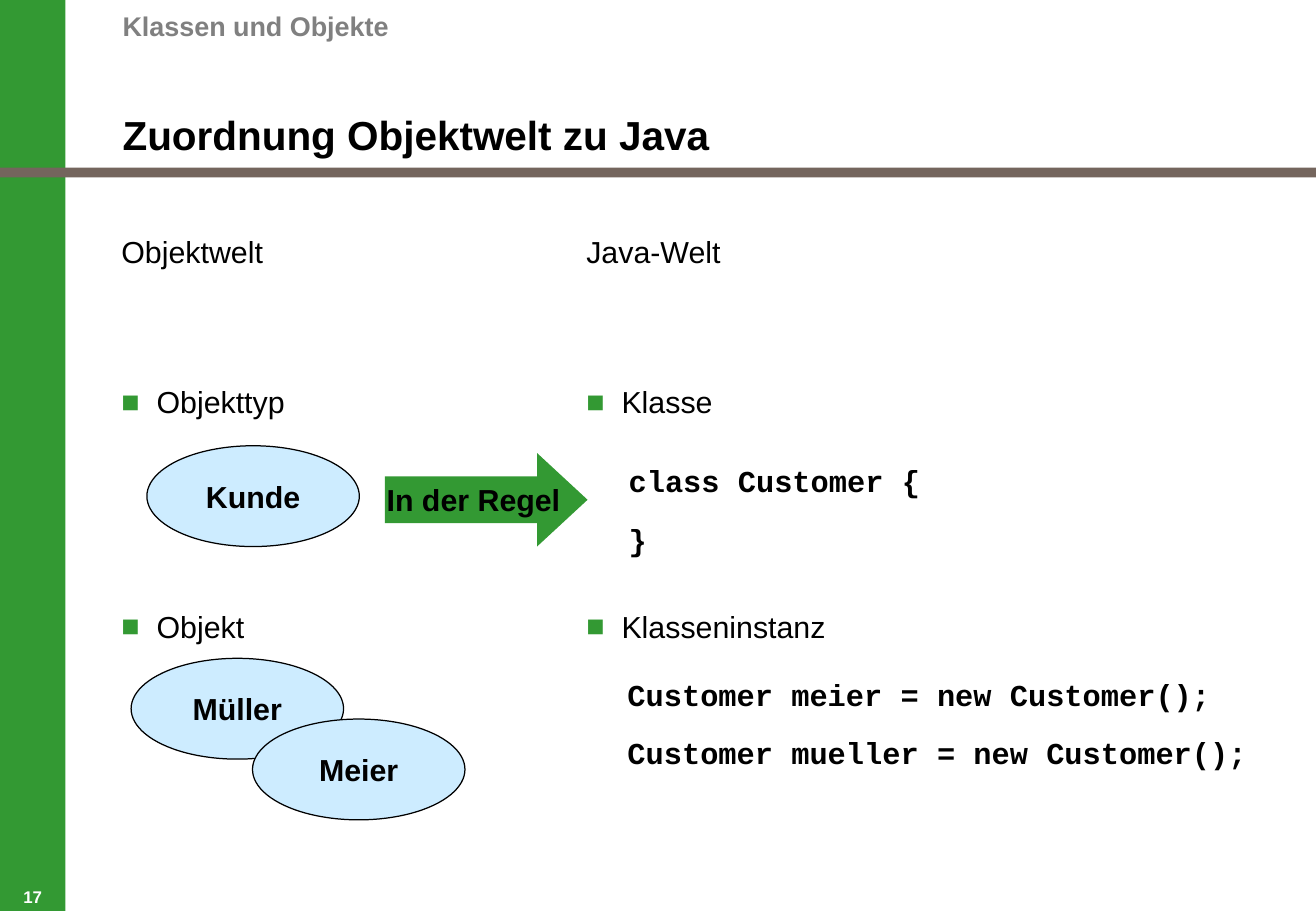
from lxml.etree import SubElement
from pptx import Presentation
from pptx.dml.color import RGBColor
from pptx.enum.shapes import MSO_SHAPE
from pptx.enum.text import MSO_ANCHOR, PP_ALIGN
from pptx.oxml.ns import qn
from pptx.util import Pt

PX = 9144  # 100 px to the inch
GREEN, BROWN, BLUE = "339933", "74655D", "CDECFF"
BLACK, GREY, WHITE = "000000", "808080", "FFFFFF"
OVAL_W, OVAL_H = 175, 83
INDENT = 29


def px(*lengths):
    return [n * PX for n in lengths]


def rgb(color):
    return RGBColor.from_string(color)


def add_run(p, text, size=18, bold=True, color=BLACK, font="Arial"):
    r = p.add_run()
    r.text = text
    r.font.size = Pt(size)
    r.font.bold = bold
    r.font.name = font
    r.font.color.rgb = rgb(color)


def add_bullet(p):
    pPr = p._p.get_or_add_pPr()
    pPr.set("marL", str(INDENT * PX))
    pPr.set("indent", str(-INDENT * PX))
    SubElement(SubElement(pPr, qn("a:buClr")), qn("a:srgbClr"), val=GREEN)
    SubElement(pPr, qn("a:buFont"), typeface="Arial")
    SubElement(pPr, qn("a:buChar"), char="■")


def add_box(s, box, anchor=MSO_ANCHOR.TOP, margins=(0, 0, 0, 0), wrap=True):
    tf = s.shapes.add_textbox(*px(*box)).text_frame
    tf.margin_left, tf.margin_top, tf.margin_right, tf.margin_bottom = px(*margins)
    tf.vertical_anchor = anchor
    tf.word_wrap = wrap
    return tf


def add_figure(s, kind, box, fill, label="", outline=False):
    """Add a filled preset shape with an optional centred label."""
    sp = s.shapes.add_shape(kind, *px(*box))
    sp.shadow.inherit = False
    sp.fill.solid()
    sp.fill.fore_color.rgb = rgb(fill)
    if outline:
        sp.line.color.rgb = rgb(BLACK)
        sp.line.width = Pt(0.75)
    else:
        sp.line.fill.background()
    if label:
        tf = sp.text_frame
        tf.word_wrap = False
        tf.vertical_anchor = MSO_ANCHOR.MIDDLE
        p = tf.paragraphs[0]
        p.alignment = PP_ALIGN.CENTER
        add_run(p, label)
    return sp


def add_frame(s, width, height):
    """Add the side bar, the rule under the title and the page number."""
    bar = 54
    add_figure(s, MSO_SHAPE.RECTANGLE, (0, 0, bar, height), GREEN)
    add_figure(s, MSO_SHAPE.RECTANGLE, (0, 138, width, 8), BROWN)
    p = add_box(s, (0, height - 20, bar, 17), MSO_ANCHOR.BOTTOM).paragraphs[0]
    p.alignment = PP_ALIGN.CENTER
    add_run(p, "17", 10, color=WHITE)


def add_headings(s, left):
    tf = add_box(s, (left, 2, 825, 39), MSO_ANCHOR.MIDDLE, (0, 5, 10, 5))
    add_run(tf.paragraphs[0], "Klassen und Objekte", 16, color=GREY)
    tf = add_box(s, (left, 45, 962, 86), MSO_ANCHOR.BOTTOM)
    add_run(tf.paragraphs[0], "Zuordnung Objektwelt zu Java", 24)


def add_column(s, box, heading, type_term, instance_term):
    """Add a column heading and two bulleted terms."""
    tf = add_box(s, box)
    add_run(tf.paragraphs[0], heading, bold=False)
    for term, gap in ((type_term, 67.5), (instance_term, 111.5)):
        p = tf.add_paragraph()
        add_bullet(p)
        p.space_before = Pt(gap)
        add_run(p, term, bold=False)


def add_code(s, box, lines):
    tf = add_box(s, box, margins=(10, 5, 10, 5), wrap=False)
    for i, line in enumerate(lines):
        p = tf.add_paragraph() if i else tf.paragraphs[0]
        if i:
            p.space_before = Pt(12.8)
        add_run(p, line, font="Courier New")


def add_object_world(s, left, top):
    add_column(s, (left, top, 349, 538), "Objektwelt", "Objekttyp", "Objekt")
    for name, dx, dy in (("Kunde", 21, 175), ("Müller", 8, 350), ("Meier", 108, 400)):
        add_figure(s, MSO_SHAPE.OVAL, (left + dx, top + dy, OVAL_W, OVAL_H),
                   BLUE, name, outline=True)


def add_java_world(s, left, top):
    add_column(s, (left, top, 533, 500), "Java-Welt", "Klasse", "Klasseninstanz")
    add_code(s, (left + 25, top + 184, 260, 86), ("class Customer {", "}"))
    add_code(s, (left + 24, top + 360, 530, 86),
             ("Customer meier = new Customer();", "Customer mueller = new Customer();"))


def add_mapping_arrow(s, box):
    sp = add_figure(s, MSO_SHAPE.RIGHT_ARROW, box, GREEN, "In der Regel")
    sp.adjustments[0] = 0.5
    sp.adjustments[1] = 0.54


def main():
    width, height = 1084, 750
    prs = Presentation()
    prs.slide_width, prs.slide_height = px(width, height)
    s = prs.slides.add_slide(prs.slide_layouts[6])
    add_frame(s, width, height)
    add_headings(s, 101)
    add_object_world(s, 100, 192)
    add_java_world(s, 483, 192)
    add_mapping_arrow(s, (317, 373, 167, 77))
    prs.save("out.pptx")


if __name__ == "__main__":
    main()
